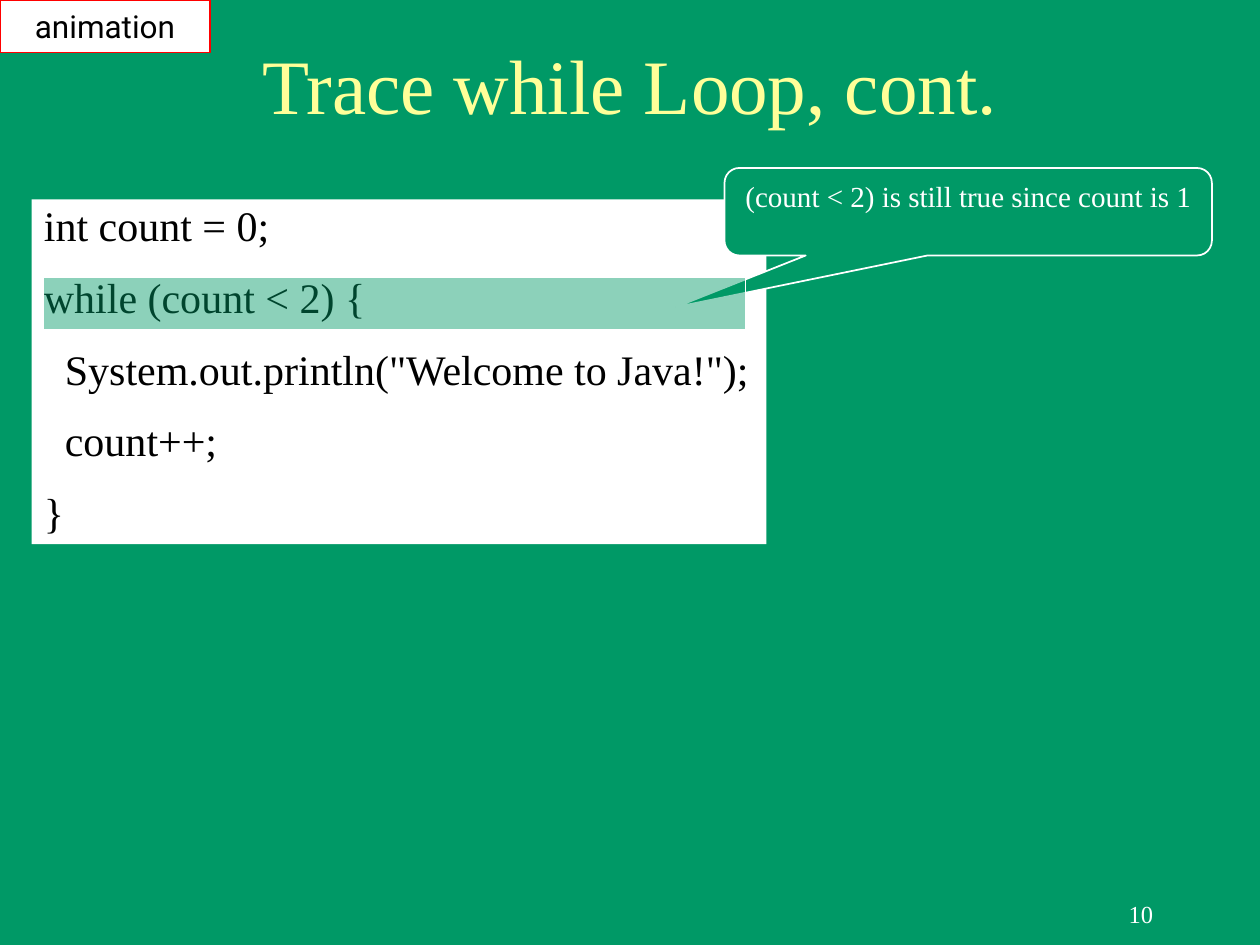
from lxml.etree import SubElement
from pptx import Presentation
from pptx.dml.color import RGBColor
from pptx.enum.shapes import MSO_SHAPE
from pptx.enum.text import MSO_ANCHOR, PP_ALIGN
from pptx.oxml.ns import qn
from pptx.util import Pt

COLORS = {
    "green": "009966",
    "yellow": "FFFF99",
    "white": "FFFFFF",
    "black": "000000",
    "red": "FF0000",
}
SERIF = "Times New Roman"
CODE = [
    "int count = 0;",
    "while (count < 2) {",
    '  System.out.println("Welcome to Java!");',
    "  count++;",
    "}",
]


def rgb(name):
    """Return the named colour."""
    return RGBColor.from_string(COLORS[name])


def write(sp, lines, size, color, font=SERIF, align=PP_ALIGN.CENTER,
          anchor=MSO_ANCHOR.TOP, spacing=None, before=0):
    """Write one paragraph per line into a shape."""
    tf = sp.text_frame
    tf.word_wrap = True
    tf.vertical_anchor = anchor
    tf.margin_left = tf.margin_right = Pt(7.2)
    tf.margin_top = tf.margin_bottom = Pt(3.6)
    for i, line in enumerate(lines):
        p = tf.add_paragraph() if i else tf.paragraphs[0]
        p.alignment = align
        p.line_spacing = spacing
        p.space_before = Pt(before if i else 0)
        r = p.add_run()
        r.text = line
        r.font.name = font
        r.font.size = Pt(size)
        r.font.color.rgb = rgb(color)


def add_box(s, kind, box, fill, line=None, alpha=None):
    """Add a filled preset shape, optionally outlined or translucent."""
    sp = s.shapes.add_shape(kind, *map(Pt, box))
    sp.shadow.inherit = False
    sp.fill.solid()
    sp.fill.fore_color.rgb = rgb(fill)
    if alpha is not None:
        clr = sp.fill._xPr.find(qn("a:solidFill"))[0]
        SubElement(clr, qn("a:alpha"), val=str(alpha * 1000))
    if line:
        sp.line.color.rgb = rgb(line)
        sp.line.width = Pt(1)
    else:
        sp.line.fill.background()
    return sp


def add_title(s, text, box):
    """Place and fill the title placeholder."""
    sp = s.shapes.title
    sp.left, sp.top, sp.width, sp.height = map(Pt, box)
    write(sp, [text], 44, "yellow", anchor=MSO_ANCHOR.MIDDLE)


def add_page_number(s, text, box):
    """Add the page number text box."""
    sp = s.shapes.add_textbox(*map(Pt, box))
    write(sp, [text], 14, "white", align=PP_ALIGN.RIGHT,
          anchor=MSO_ANCHOR.MIDDLE)


def add_callout(s, text, box):
    """Add the speech callout pointing at the traced line."""
    sp = add_box(s, MSO_SHAPE.ROUNDED_RECTANGULAR_CALLOUT, box, "green", "white")
    for i, value in enumerate((-0.6, 1.09, 0.17)):
        sp.adjustments[i] = value
    write(sp, [text], 16.6, "white")


def main():
    """Build the slide and save it."""
    prs = Presentation()
    prs.slide_width, prs.slide_height = Pt(720), Pt(540)
    s = prs.slides.add_slide(prs.slide_layouts[5])
    s.background.fill.solid()
    s.background.fill.fore_color.rgb = rgb("green")

    add_page_number(s, "10", (516, 504, 150, 36))
    add_title(s, "Trace while Loop, cont.", (54, 18, 612, 60))
    code = add_box(s, MSO_SHAPE.RECTANGLE, (18, 114, 420, 197), "white")
    write(code, CODE, 24, "black", align=PP_ALIGN.LEFT, spacing=0.9, before=15)
    add_callout(s, "(count < 2) is still true since count is 1",
                (414, 96, 278.5, 50))
    add_box(s, MSO_SHAPE.RECTANGLE, (24.5, 158.5, 401.5, 30), "green", "white",
            alpha=45)
    tag = add_box(s, MSO_SHAPE.RECTANGLE, (0, 0, 120, 30), "white", "red")
    write(tag, ["animation"], 18, "black", font="Roboto",
          anchor=MSO_ANCHOR.MIDDLE)

    prs.save("out.pptx")


if __name__ == "__main__":
    main()
